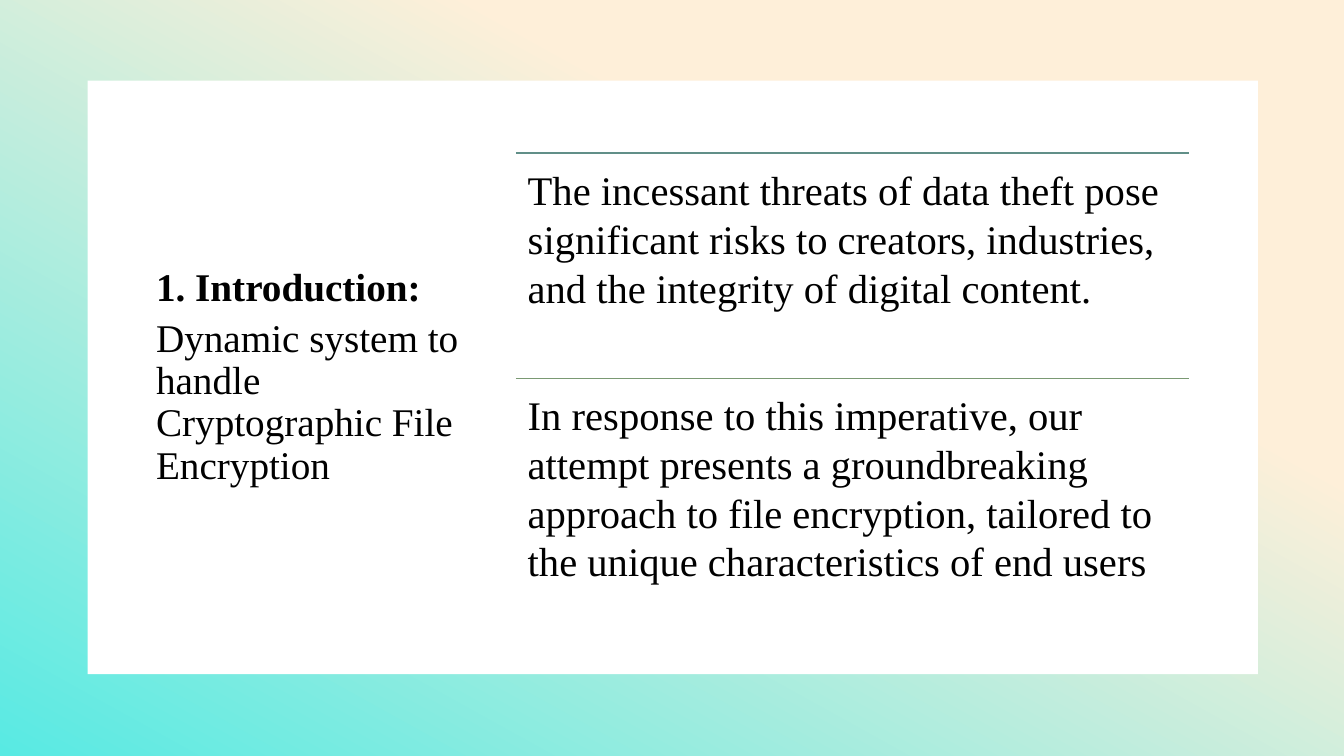
from pptx import Presentation
from pptx.dml.color import RGBColor
from pptx.enum.shapes import MSO_CONNECTOR, MSO_SHAPE
from pptx.enum.text import MSO_ANCHOR, PP_ALIGN
from pptx.oxml.ns import qn
from pptx.util import Cm, Pt
from lxml import etree

PEACH = RGBColor(0xFE, 0xEF, 0xD9)
AQUA = RGBColor(0x58, 0xEA, 0xE3)
WHITE = RGBColor(0xFF, 0xFF, 0xFF)
BLACK = RGBColor(0, 0, 0)
TEAL = RGBColor(0x61, 0x8F, 0x88)
GREEN = RGBColor(0x7A, 0x99, 0x73)
FONT = "Times New Roman"


def format_paragraph(p, size, bold=False):
    p.alignment = PP_ALIGN.LEFT
    for r in p.runs:
        r.font.name = FONT
        r.font.size = Pt(size)
        r.font.bold = bold
        r.font.color.rgb = BLACK


prs = Presentation()
prs.slide_width, prs.slide_height = Cm(33.87), Cm(19.05)
s = prs.slides.add_slide(prs.slide_layouts[5])

# Gradient backdrop
backdrop = s.shapes.add_shape(MSO_SHAPE.RECTANGLE, 0, 0, prs.slide_width, prs.slide_height)
backdrop.shadow.inherit = False
backdrop.line.fill.background()
backdrop.fill.gradient()
backdrop.fill.gradient_angle = 241
for stop, (position, color) in zip(backdrop.fill.gradient_stops, [(0.32, PEACH), (1, AQUA)]):
    stop.position = position
    stop.color.rgb = color

# White card
card = s.shapes.add_shape(MSO_SHAPE.RECTANGLE, Cm(2.21), Cm(2.03), Cm(29.49), Cm(14.96))
card.shadow.inherit = False
card.line.fill.background()
card.fill.solid()
card.fill.fore_color.rgb = WHITE

# Title, brought in front of the card
title = s.shapes.title
s.shapes.element.append(title.element)
title.left, title.top, title.width, title.height = Cm(3.68), Cm(5.72), Cm(8.38), Cm(7.59)
tf = title.text_frame
tf.text = "1. Introduction:\nDynamic system to handle Cryptographic File Encryption"
tf.word_wrap = True
tf.vertical_anchor = MSO_ANCHOR.MIDDLE
for p, bold in zip(tf.paragraphs, (True, False)):
    format_paragraph(p, 28, bold)
    p.line_spacing = 0.9
    p.space_after = Pt(6)

# Statements, each under a rule
LEFT, TOP, WIDTH, HEIGHT = Cm(13), Cm(3.86), Cm(16.97), Cm(5.67)
statements = [
    (TEAL, "The incessant threats of data theft pose significant risks to creators, "
           "industries, and the integrity of digital content."),
    (GREEN, "In response to this imperative, our attempt presents a groundbreaking approach "
            "to file encryption, tailored to the unique characteristics of end users"),
]
for i, (color, text) in enumerate(statements):
    top = TOP + i * HEIGHT
    rule = s.shapes.add_connector(MSO_CONNECTOR.STRAIGHT, LEFT, top, LEFT + WIDTH, top)
    rule.line.color.rgb = color
    rule.line.width = Pt(1)
    etree.SubElement(rule.element.spPr, qn("a:effectLst"))

    tf = s.shapes.add_textbox(LEFT, top, WIDTH, HEIGHT).text_frame
    tf.word_wrap = True
    tf.margin_left = tf.margin_right = tf.margin_top = tf.margin_bottom = Cm(0.3)
    tf.text = text
    format_paragraph(tf.paragraphs[0], 29)

prs.save("out.pptx")
